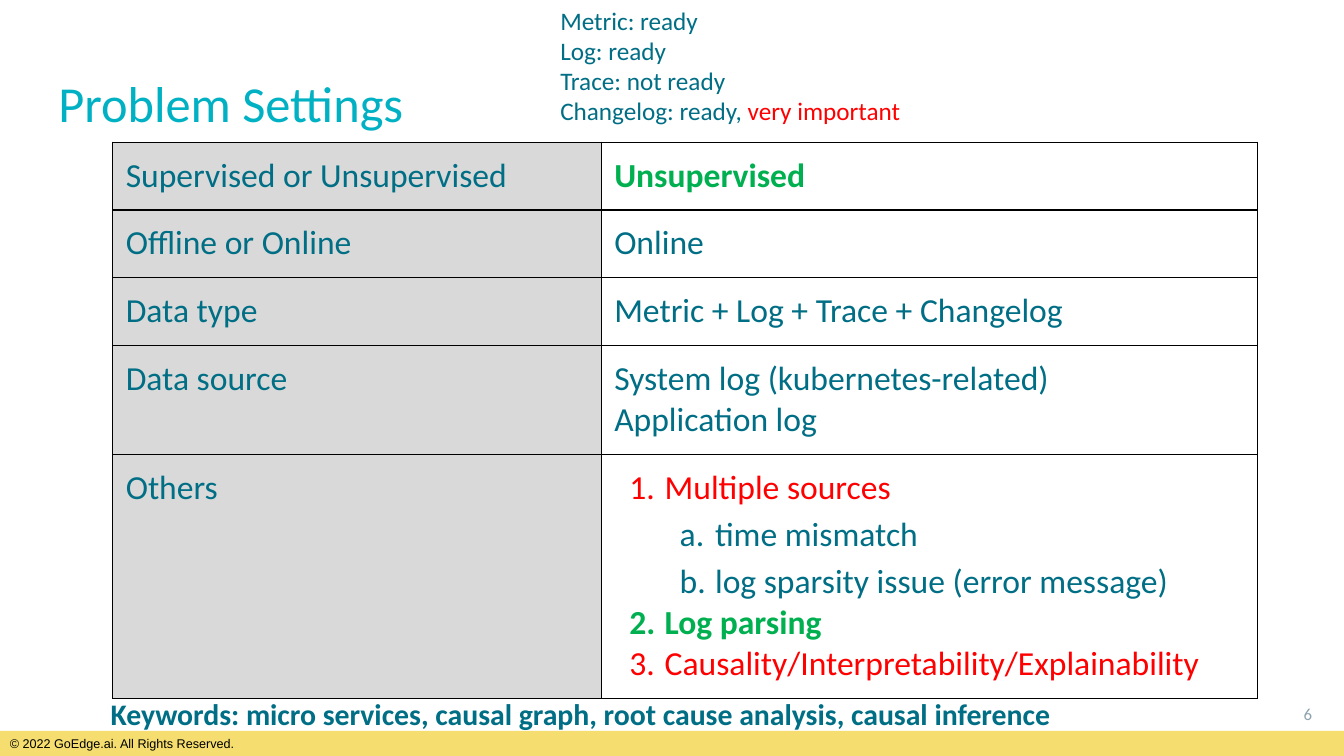
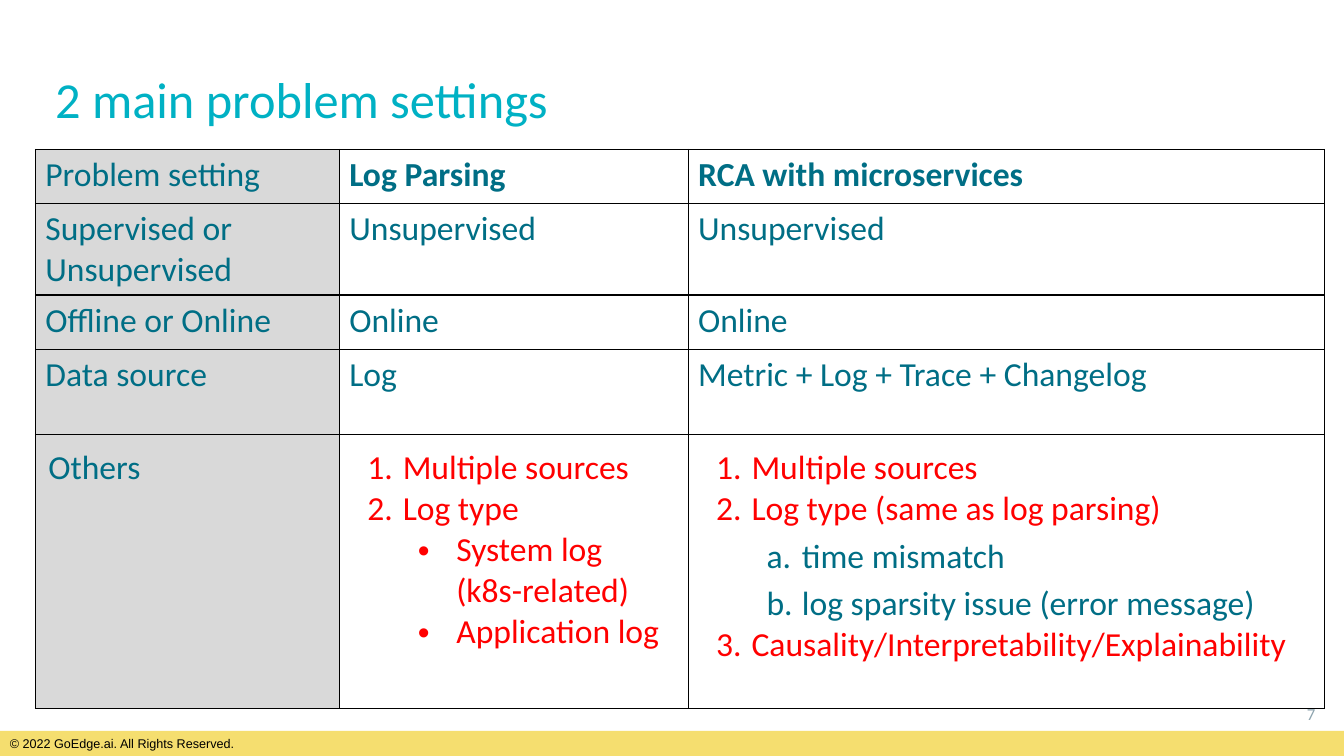
from lxml import etree
from pptx import Presentation
from pptx import util as u
from pptx.dml.color import RGBColor
from pptx.enum import shapes, text
from pptx.oxml import ns

COLOURS = {
    "title": "00B1C4", "body": "006E85", "red": "FF0000", "green": "00B050",
    "label": "D9D9D9", "band": "F5DE6F", "number": "8CA3AE", "black": "000000",
}
LISTS = {
    "1": (0, 1.27, -0.89, "buAutoNum", {"type": "arabicPeriod"}),
    "a": (1, 2.54, -0.89, "buAutoNum", {"type": "alphaLcPeriod"}),
    "•": (1, 2.62, -0.97, "buChar", {"char": "•"}),
}
WIDE = 0.33


def add_xml(parent, tag, **attributes):
    return etree.SubElement(parent, ns.qn("a:" + tag), attributes)


def write(frame, paragraphs, size, font="Calibri"):
    for index, (runs, kind) in enumerate(paragraphs):
        paragraph = frame.paragraphs[0] if index == 0 else frame.add_paragraph()
        paragraph.alignment = text.PP_ALIGN.LEFT
        if kind:
            level, margin, indent, tag, attributes = LISTS[kind]
            paragraph.level = level
            properties = paragraph._p.get_or_add_pPr()
            properties.set("marL", str(u.Cm(margin)))
            properties.set("indent", str(u.Cm(indent)))
            add_xml(add_xml(properties, "buClr"), "srgbClr", val=COLOURS[runs[0][1]])
            add_xml(properties, "buFont", typeface="Arial" if kind == "•" else "+mj-lt")
            add_xml(properties, tag, **attributes)
            if kind == "a":
                paragraph.line_spacing = 1.15
        for words, colour, bold in runs:
            run = paragraph.add_run()
            run.text = words
            run.font.size = u.Pt(size)
            run.font.name = font
            run.font.bold = bold
            run.font.color.rgb = RGBColor.from_string(COLOURS[colour])


MULTIPLE_SOURCES = ("Multiple sources", "red", False, "1")
SOURCE_ISSUES = [
    ("time mismatch", "body", False, "a"),
    ("log sparsity issue (error message)", "body", False, "a"),
]
CAUSALITY = ("Causality/Interpretability/Explainability", "red", False, "1")

PAGES = [
    {
        "title": "Problem Settings", "number": 6, "inset": WIDE,
        "at": (2.84, 3.58), "columns": [12.31, 16.54],
        "heights": [1.71, 1.71, 1.71, 2.74, 6.15], "thick_row": 0,
        "rows": [
            ["Supervised or Unsupervised", [("Unsupervised", "green", True, None)]],
            ["Offline or Online", "Online"],
            ["Data type", "Metric + Log + Trace + Changelog"],
            ["Data source", [("System log (kubernetes-related)", "body", False, None),
                             ("Application log", "body", False, None)]],
            ["Others", [MULTIPLE_SOURCES, *SOURCE_ISSUES,
                        ("Log parsing", "green", True, "1"), CAUSALITY]],
        ],
        "boxes": [
            ((2.46, 17.2, 29.59, 1.6), WIDE, 21.3, True, [
                [("Keywords: micro services, causal graph, root cause analysis, causal inference",
                  "body", True)]]),
            ((13.87, 0, 9.17, 3.33), None, 18, False, [
                [("Metric: ready", "body", False)],
                [("Log: ready", "body", False)],
                [("Trace: not ready", "body", False)],
                [("Changelog: ready, ", "body", False), ("very important", "red", False)]]),
        ],
    },
    {
        "title": "2 main problem settings", "number": 7, "inset": 0.25,
        "at": (0.89, 3.76), "columns": [7.66, 8.79, 16.05],
        "heights": [1.36, 2.32, 1.36, 2.16, 6.88], "thick_row": 1,
        "rows": [
            ["Problem setting", [("Log Parsing", "body", True, None)],
             [("RCA with microservices", "body", True, None)]],
            ["Supervised or Unsupervised", "Unsupervised", "Unsupervised"],
            ["Offline or Online", "Online", "Online"],
            ["Data source", "Log", "Metric + Log + Trace + Changelog"],
            ["Others",
             [MULTIPLE_SOURCES, ("Log type", "red", False, "1"),
              ("System log (k8s-related)", "red", False, "•"),
              ("Application log", "red", False, "•")],
             [MULTIPLE_SOURCES, ("Log type (same as log parsing)", "red", False, "1"),
              *SOURCE_ISSUES, CAUSALITY]],
        ],
        "boxes": [],
    },
]

presentation = Presentation()
presentation.slide_width, presentation.slide_height = u.Cm(33.87), u.Cm(19.05)

for page in PAGES:
    slide = presentation.slides.add_slide(presentation.slide_layouts[5])
    inset = u.Cm(page["inset"])

    title = slide.shapes.title
    title.left, title.top, title.width, title.height = map(u.Cm, (1.14, 1.65, 31.55, 2.13))
    frame = title.text_frame
    frame.auto_size = text.MSO_AUTO_SIZE.NONE
    frame.vertical_anchor = text.MSO_ANCHOR.TOP
    frame.margin_left = frame.margin_top = frame.margin_right = frame.margin_bottom = inset
    write(frame, [([(page["title"], "title", False)], None)], 36)
    frame.paragraphs[0].line_spacing = 0.9

    band = slide.shapes.add_shape(
        shapes.MSO_SHAPE.RECTANGLE, 0, u.Cm(18.42), presentation.slide_width, u.Cm(0.63))
    band.shadow.inherit = False
    band.fill.solid()
    band.fill.fore_color.rgb = RGBColor.from_string(COLOURS["band"])
    band.line.fill.background()

    footer = slide.shapes.add_textbox(0, u.Cm(18.42), u.Cm(6.99), u.Cm(0.63))
    footer.text_frame.word_wrap = True
    write(footer.text_frame,
          [([("© 2022 GoEdge.ai. All Rights Reserved.", "black", False)], None)], 9, "Arial")

    number = slide.shapes.add_textbox(*map(u.Cm, (31.37, 17.27, 2.03, 1.45)))
    frame = number.text_frame
    frame.word_wrap = True
    frame.vertical_anchor = text.MSO_ANCHOR.MIDDLE
    frame.margin_left = frame.margin_top = frame.margin_right = frame.margin_bottom = inset
    write(frame, [([(str(page["number"]), "number", False)], None)], 12)
    frame.paragraphs[0].alignment = text.PP_ALIGN.RIGHT

    table = slide.shapes.add_table(
        len(page["rows"]), len(page["columns"]), *map(u.Cm, page["at"]),
        u.Cm(sum(page["columns"])), u.Cm(sum(page["heights"]))).table
    table.first_row = table.horz_banding = False
    for column, width in zip(table.columns, page["columns"]):
        column.width = u.Cm(width)
    for row_index, (row, height) in enumerate(zip(page["rows"], page["heights"])):
        table.rows[row_index].height = u.Cm(height)
        for column_index, content in enumerate(row):
            cell = table.cell(row_index, column_index)
            if page["inset"] == WIDE or row[0] == "Others":
                cell.margin_left = cell.margin_top = u.Cm(WIDE)
                cell.margin_right = cell.margin_bottom = u.Cm(WIDE)
            properties = cell._tc.get_or_add_tcPr()
            for side in "LRTB":
                thick = (side, row_index) in (
                    ("B", page["thick_row"]), ("T", page["thick_row"] + 1))
                border = add_xml(properties, "ln" + side, w=str(u.Pt(1.5 if thick else 0.75)))
                add_xml(add_xml(border, "solidFill"), "srgbClr", val=COLOURS["black"])
            if column_index == 0:
                cell.fill.solid()
                cell.fill.fore_color.rgb = RGBColor.from_string(COLOURS["label"])
            else:
                cell.fill.background()
            if isinstance(content, str):
                content = [(content, "body", False, None)]
            write(cell.text_frame, [([run], kind) for *run, kind in content], 24)

    for place, margin, size, wrap, lines in page["boxes"]:
        frame = slide.shapes.add_textbox(*map(u.Cm, place)).text_frame
        frame.word_wrap = wrap
        if margin:
            frame.margin_left = frame.margin_top = u.Cm(margin)
            frame.margin_right = frame.margin_bottom = u.Cm(margin)
        write(frame, [(runs, None) for runs in lines], size)

presentation.save("out.pptx")
